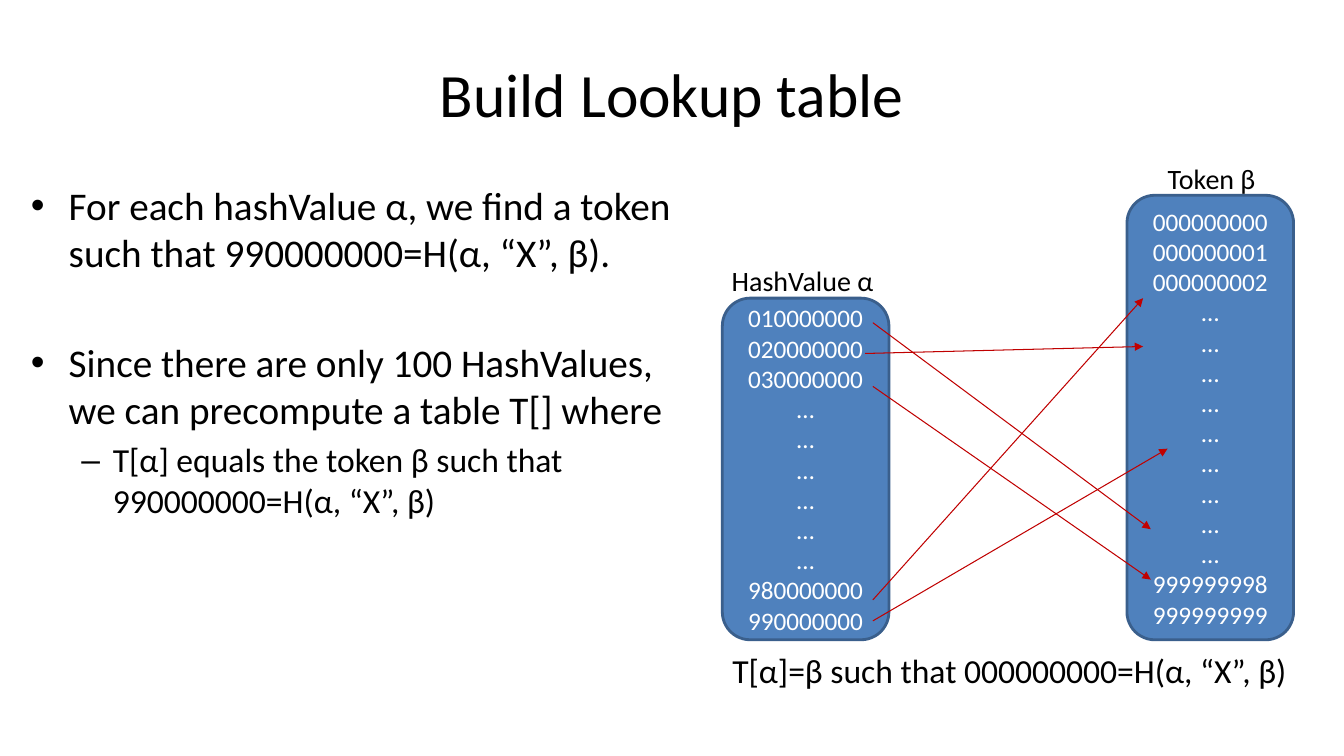
from dataclasses import dataclass

from lxml import etree
from pptx import Presentation
from pptx.dml.color import RGBColor
from pptx.enum.shapes import MSO_CONNECTOR, MSO_SHAPE
from pptx.enum.text import MSO_ANCHOR, MSO_AUTO_SIZE, PP_ALIGN
from pptx.oxml.ns import qn
from pptx.slide import Slide
from pptx.text.text import TextFrame
from pptx.util import Pt

ROUNDED = MSO_SHAPE.ROUNDED_RECTANGLE
STRAIGHT = MSO_CONNECTOR.STRAIGHT
TOP, MIDDLE = MSO_ANCHOR.TOP, MSO_ANCHOR.MIDDLE
NO_FIT, GROW = MSO_AUTO_SIZE.NONE, MSO_AUTO_SIZE.SHAPE_TO_FIT_TEXT
LEFT, CENTER = PP_ALIGN.LEFT, PP_ALIGN.CENTER


@dataclass(frozen=True)
class Theme:
    font: str = "Calibri"
    bullet_font: str = "Arial"
    ink: RGBColor = RGBColor(0x00, 0x00, 0x00)
    light: RGBColor = RGBColor(0xFF, 0xFF, 0xFF)
    fill: RGBColor = RGBColor(0x4F, 0x81, 0xBD)
    outline: RGBColor = RGBColor(0x3A, 0x5F, 0x8C)
    arrow: RGBColor = RGBColor(0xC0, 0x00, 0x00)
    title: float = 44
    body: float = 28
    detail: float = 24
    label: float = 20
    value: float = 18


THEME = Theme()


@dataclass(frozen=True)
class Area:
    left: float
    top: float
    width: float
    height: float

    def lengths(self) -> tuple[Pt, Pt, Pt, Pt]:
        return Pt(self.left), Pt(self.top), Pt(self.width), Pt(self.height)


@dataclass(frozen=True)
class Bullet:
    text: str
    size: float
    mark: str
    margin: float
    hanging: float
    level: int = 0
    before: float = 0


@dataclass(frozen=True)
class Label:
    text: str
    area: Area
    size: float


@dataclass(frozen=True)
class Column:
    area: Area
    values: list[str]


@dataclass(frozen=True)
class Arrow:
    start: tuple[float, float]
    end: tuple[float, float]


TITLE_AREA = Area(48, 21.6, 864, 90)
BODY_AREA = Area(15, 126, 478, 356)
BULLETS = [
    Bullet("For each hashValue α, we find a token such that 990000000=H(α, “X”, β).",
           THEME.body, "•", 27, 27),
    Bullet("Since there are only 100 HashValues, we can precompute a table T[] where",
           THEME.body, "•", 27, 27, before=45),
    Bullet("T[α] equals the token β such that 990000000=H(α, “X”, β)",
           THEME.detail, "–", 58.5, 22.5, level=1, before=4.8),
]
COLUMNS = [
    Column(Area(516, 213, 119, 244),
           ["010000000", "020000000", "030000000", *["…"] * 6, "980000000", "990000000"]),
    Column(Area(805, 139.5, 119, 317.5),
           ["000000000", "000000001", "000000002", *["…"] * 9, "999999998", "999999999"]),
]
LABELS = [
    Label("Token β", Area(827, 111.5, 78, 31.5), THEME.label),
    Label("HashValue α", Area(515.5, 184.5, 118, 31.5), THEME.label),
    Label("T[α]=β such that 000000000=H(α, “X”, β)", Area(516, 461, 418, 36), THEME.detail),
]
ARROWS = [
    Arrow((623.5, 230.5), (822, 378)),
    Arrow((618, 252.5), (816.5, 247.5)),
    Arrow((623.5, 276), (822, 414)),
    Arrow((623.5, 428.5), (816.5, 213)),
    Arrow((623.5, 443.5), (834, 320.5)),
]


def write(frame: TextFrame, text: str, *, size: float, color: RGBColor = THEME.ink,
          align: PP_ALIGN = LEFT, bullet: Bullet | None = None, first: bool = True) -> None:
    para = frame.paragraphs[0] if first else frame.add_paragraph()
    para.alignment = align
    if bullet:
        para.level = bullet.level
        para.space_before = Pt(bullet.before)
        properties = para._p.get_or_add_pPr()
        properties.set("marL", str(Pt(bullet.margin)))
        properties.set("indent", str(-Pt(bullet.hanging)))
        etree.SubElement(properties, qn("a:buFont")).set("typeface", THEME.bullet_font)
        etree.SubElement(properties, qn("a:buChar")).set("char", bullet.mark)
    span = para.add_run()
    span.text = text
    span.font.name = THEME.font
    span.font.size = Pt(size)
    span.font.color.rgb = color


def add_frame(page: Slide, area: Area, *, anchor: MSO_ANCHOR = TOP,
              wrap: bool = True) -> TextFrame:
    frame = page.shapes.add_textbox(*area.lengths()).text_frame
    frame.word_wrap = wrap
    frame.auto_size = NO_FIT if wrap else GROW
    frame.vertical_anchor = anchor
    return frame


def add_column(page: Slide, column: Column) -> None:
    box = page.shapes.add_shape(ROUNDED, *column.area.lengths())
    box.shadow.inherit = False
    box.fill.solid()
    box.fill.fore_color.rgb = THEME.fill
    box.line.color.rgb = THEME.outline
    box.line.width = Pt(2)
    frame = box.text_frame
    frame.word_wrap = True
    frame.vertical_anchor = MIDDLE
    for position, value in enumerate(column.values):
        write(frame, value, size=THEME.value, color=THEME.light, align=CENTER,
              first=position == 0)


def add_arrow(page: Slide, arrow: Arrow) -> None:
    points = [Pt(length) for length in (*arrow.start, *arrow.end)]
    connector = page.shapes.add_connector(STRAIGHT, *points)
    connector.line.color.rgb = THEME.arrow
    connector.line.width = Pt(0.75)
    etree.SubElement(connector.line._get_or_add_ln(), qn("a:tailEnd")).set("type", "triangle")
    etree.SubElement(connector._element.spPr, qn("a:effectLst"))


def main() -> None:
    deck = Presentation()
    deck.slide_width, deck.slide_height = Pt(960), Pt(540)
    page = deck.slides.add_slide(deck.slide_layouts[6])

    title = add_frame(page, TITLE_AREA, anchor=MIDDLE)
    write(title, "Build Lookup table", size=THEME.title, align=CENTER)

    body = add_frame(page, BODY_AREA)
    for position, bullet in enumerate(BULLETS):
        write(body, bullet.text, size=bullet.size, bullet=bullet, first=position == 0)

    for column in COLUMNS:
        add_column(page, column)
    for label in LABELS:
        write(add_frame(page, label.area, wrap=False), label.text, size=label.size)
    for arrow in ARROWS:
        add_arrow(page, arrow)

    deck.save("out.pptx")


if __name__ == "__main__":
    main()
